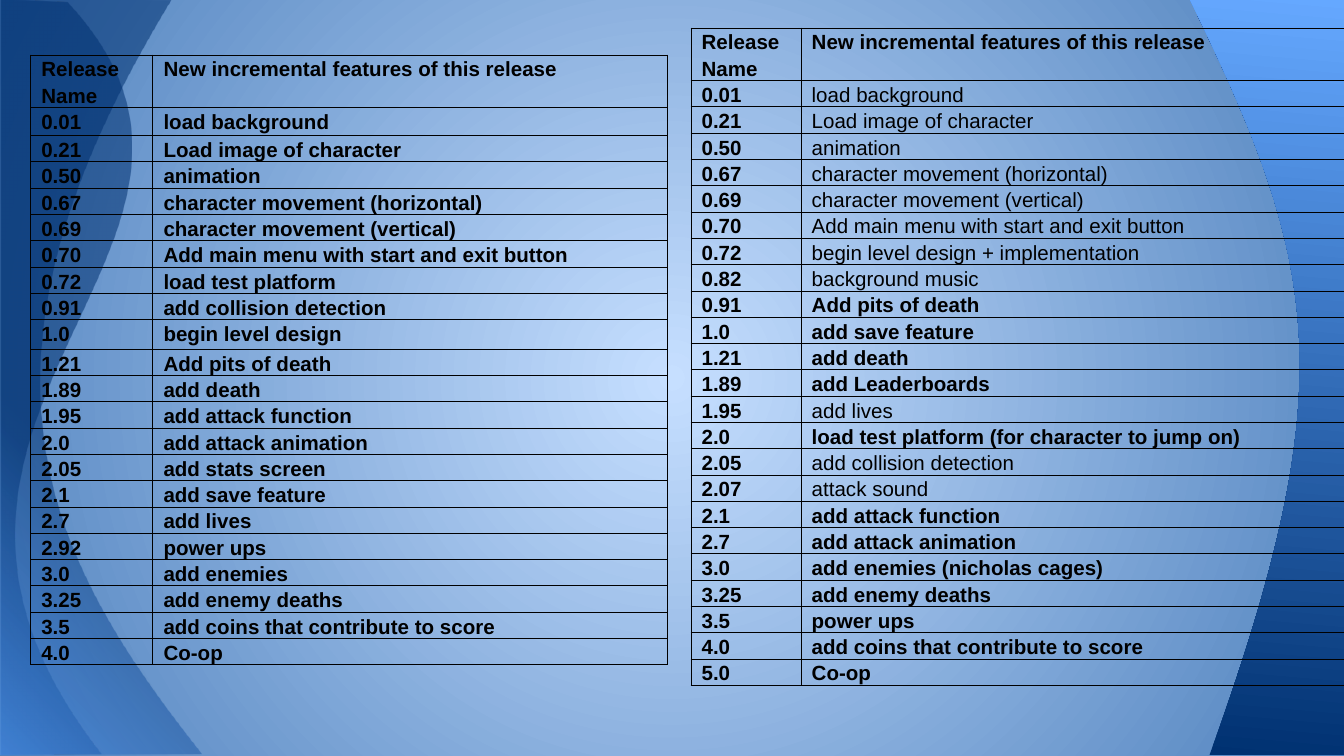
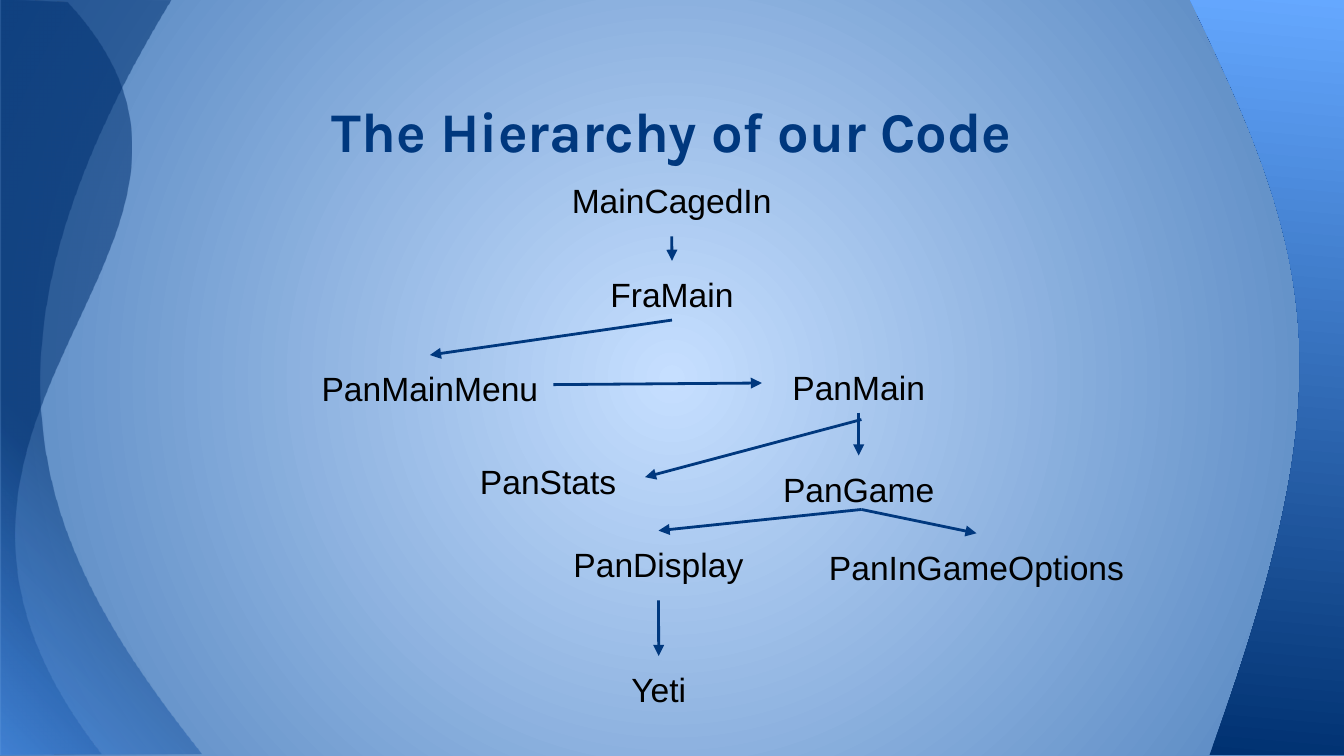
from dataclasses import dataclass

from lxml.etree import SubElement as Sub
from pptx import Presentation as Deck
from pptx.dml.color import RGBColor as Rgb
from pptx.enum.shapes import MSO_CONNECTOR as Link
from pptx.enum.text import MSO_ANCHOR as Anchor, PP_ALIGN as Align
from pptx.oxml import parse_xml
from pptx.oxml.ns import nsdecls, qn
from pptx.util import Cm, Pt


@dataclass(frozen=True)
class Theme:
    ink: str = "000000"
    navy: str = "00387E"
    glow: tuple = ((0, "C6DFFF", 100), (100, "4F81BD", 100))
    veil: tuple = ((0, "549FFF", 54), (41, "003171", 54), (100, "003171", 54))
    edge: tuple = ((0, "003171", 100), (100, "65A8FF", 100))
    font: str = "Arial"
    head: str = "Karla"
    cell: float = 11
    node: float = 18
    title: float = 30
    rule: float = 0.5
    arrow: float = 1.5


THEME = Theme()
PAGE = (0, 0, 25.4, 14.29)
TOP, LEFT, BASE, RIGHT = range(4)
ROW = 0.49

CENTER = '<a:path path="circle"><a:fillToRect l="50000" t="50000" r="50000" b="50000"/></a:path>'
CORNER = '<a:path path="circle"><a:fillToRect t="100000" r="100000"/></a:path>'
STEEP = '<a:lin ang="16500000" scaled="0"/>'

BANDS = [
    ([(3.81, 14.25), (-0.03, 14.27), (0, -0.05), (3.23, 0),
      (-0.97, 6.91), (0.84, 10.49), (3.81, 14.25)], 4, THEME.veil, CORNER),
    ([(1.91, 14.25), (0.03, 14.27), (0.03, 0), (1.27, 0.05),
      (5.51, 4.62), (-3.1, 7.82), (1.91, 14.25)], 4, THEME.veil, CORNER),
    ([(25.53, 14.27), (22.86, 14.27), (25.43, 7.21), (24.92, 4.98),
      (22.48, -0.03), (25.53, -0.03)], 2, THEME.edge, STEEP),
]

HEADS = ("Release Name", "New incremental features of this release")
PLAN = [
    ("0.01", "load background"),
    ("0.21", "Load image of character"),
    ("0.50", "animation"),
    ("0.67", "character movement (horizontal)"),
    ("0.69", "character movement (vertical)"),
    ("0.70", "Add main menu with start and exit button"),
    ("0.72", "load test platform"),
    ("0.91", "add collision detection"),
    ("1.0", "begin level design"),
    ("1.21", "Add pits of death"),
    ("1.89", "add death"),
    ("1.95", "add attack function"),
    ("2.0", "add attack animation"),
    ("2.05", "add stats screen"),
    ("2.1", "add save feature"),
    ("2.7", "add lives"),
    ("2.92", "power ups"),
    ("3.0", "add enemies"),
    ("3.25", "add enemy deaths"),
    ("3.5", "add coins that contribute to score"),
    ("4.0", "Co-op"),
]
DONE = PLAN[:6] + [
    ("0.72", "begin level design + implementation"),
    ("0.82", "background music"),
    ("0.91", "Add pits of death"),
    ("1.0", "add save feature"),
    ("1.21", "add death"),
    ("1.89", "add Leaderboards"),
    ("1.95", "add lives"),
    ("2.0", "load test platform (for character to jump on)"),
    ("2.05", "add collision detection"),
    ("2.07", "attack sound"),
    ("2.1", "add attack function"),
    ("2.7", "add attack animation"),
    ("3.0", "add enemies (nicholas cages)"),
    ("3.25", "add enemy deaths"),
    ("3.5", "power ups"),
    ("4.0", "add coins that contribute to score"),
    ("5.0", "Co-op"),
]
PLAIN = {"0.01", "0.21", "0.50", "0.67", "0.69", "0.70", "0.72", "0.82",
         "1.95", "2.05", "2.07"}

NODES = {
    "MainCagedIn": (4.67, 0, 4.47, 1.32),
    "FraMain": (5.08, 1.78, 3.66, 1.12),
    "PanMainMenu": (0, 3.56, 4.67, 1.12),
    "PanMain": (8.61, 3.53, 3.66, 1.12),
    "PanStats": (2.74, 5.31, 3.66, 1.12),
    "PanGame": (8.61, 5.46, 3.66, 0.84),
    "PanDisplay": (4.7, 6.88, 3.91, 1.32),
    "PanInGameOptions": (9.17, 6.93, 6.99, 1.32),
    "Yeti": (5.16, 9.25, 3, 1.32),
}
JOINS = [
    ("MainCagedIn", BASE, "FraMain", TOP),
    ("FraMain", BASE, "PanMainMenu", TOP),
    ("PanMainMenu", RIGHT, "PanMain", LEFT),
    ("PanMain", BASE, "PanGame", TOP),
    ("PanDisplay", BASE, "Yeti", TOP),
]
FORKS = [
    ((10.49, 4.78), "PanStats", RIGHT),
    ((10.49, 6.48), "PanDisplay", TOP),
    ((10.49, 6.48), "PanInGameOptions", TOP),
]


def blend(host, stops, kind):
    marks = "".join(
        f'<a:gs pos="{at * 1000}"><a:srgbClr val="{hue}">'
        f'<a:alpha val="{alpha * 1000}"/></a:srgbClr></a:gs>'
        for at, hue, alpha in stops)
    fill = parse_xml(f'<a:gradFill {nsdecls("a")} rotWithShape="1">'
                     f'<a:gsLst>{marks}</a:gsLst>{kind}</a:gradFill>')
    host.replace(host.find(qn("a:solidFill")), fill)


def write(para, text, size, font=THEME.font, hue=THEME.ink, bold=False):
    run = para.add_run()
    run.text = text
    run.font.size = Pt(size)
    run.font.name = font
    run.font.bold = bold
    run.font.color.rgb = Rgb.from_string(hue)


def inset(frame, side, rise):
    frame.margin_left = frame.margin_right = Cm(side)
    frame.margin_top = frame.margin_bottom = Cm(rise)


def bend(shape, start):
    trace = shape.element.find(".//" + qn("a:path"))
    steps = list(trace)[start:start + 3]
    curve = Sub(trace, qn("a:cubicBezTo"))
    steps[0].addprevious(curve)
    for step in steps:
        curve.append(step[0])
        trace.remove(step)


def add_bands(deck, slide, box):
    master = deck.slide_master
    master.background.fill.solid()
    blend(master.element.find(".//" + qn("p:bgPr")), THEME.glow, CENTER)
    for spot, (points, start, stops, kind) in enumerate(BANDS, 2):
        first, *rest = [(Cm(box[0] + x), Cm(box[1] + y)) for x, y in points]
        draft = slide.shapes.build_freeform(*first)
        draft.add_line_segments(rest, close=True)
        band = draft.convert_to_shape()
        bend(band, start)
        band.shadow.inherit = False
        band.line.fill.background()
        band.fill.solid()
        blend(band.element.spPr, stops, kind)
        master.shapes.element.insert(spot, band.element)


def frame_cell(cell):
    cell.fill.background()
    props = cell._tc.get_or_add_tcPr()
    for spot, side in enumerate("LRTB"):
        props.insert(spot, parse_xml(
            f'<a:ln{side} {nsdecls("a")} w="{Pt(THEME.rule)}"><a:solidFill>'
            f'<a:srgbClr val="{THEME.ink}"/></a:solidFill></a:ln{side}>'))


def add_grid(slide, box, first, items, plain=(), tall=None):
    lines = [HEADS] + items
    highs = [2 * ROW] + [ROW] * len(items)
    for row, high in (tall or {}).items():
        highs[row] = high
    x, y, wide = box
    grid = slide.shapes.add_table(len(lines), 2, Cm(x), Cm(y), Cm(wide),
                                  Cm(sum(highs))).table
    grid.first_row = grid.horz_banding = False
    grid.columns[0].width = Cm(first)
    grid.columns[1].width = Cm(wide - first)
    for row, (line, high) in enumerate(zip(lines, highs)):
        grid.rows[row].height = Cm(high)
        for col, text in enumerate(line):
            cell = grid.cell(row, col)
            inset(cell, 0.2, 0)
            frame_cell(cell)
            para = cell.text_frame.paragraphs[0]
            para.line_spacing = 1.15
            write(para, text, THEME.cell,
                  bold=col == 0 or line[0] not in plain)


def add_title(slide, box, text):
    title = slide.shapes.title
    title.left, title.top, title.width, title.height = map(Cm, box)
    frame = title.text_frame
    frame.vertical_anchor = Anchor.BOTTOM
    inset(frame, 0.25, 0.25)
    para = frame.paragraphs[0]
    para.alignment = Align.CENTER
    write(para, text, THEME.title, THEME.head, THEME.navy, True)


def add_node(slide, box, text):
    node = slide.shapes.add_textbox(*map(Cm, box))
    frame = node.text_frame
    frame.word_wrap = True
    frame.vertical_anchor = Anchor.TOP
    inset(frame, 0.25, 0.25)
    para = frame.paragraphs[0]
    para.alignment = Align.CENTER
    write(para, text, THEME.node)
    return node


def add_arrow(slide, start, goal, side):
    x, y = map(Cm, start)
    arrow = slide.shapes.add_connector(Link.STRAIGHT, x, y, x, y)
    arrow.end_connect(goal, side)
    arrow.line.width = Pt(THEME.arrow)
    arrow.line.color.rgb = Rgb.from_string(THEME.navy)
    Sub(arrow.line._get_or_add_ln(), qn("a:tailEnd"), type="triangle")
    Sub(arrow.element.spPr, qn("a:effectLst"))
    return arrow


def add_tree(slide, box):
    left, top = box
    nodes = {name: add_node(slide, (left + x, top + y, w, h), name)
             for name, (x, y, w, h) in NODES.items()}
    for source, out, goal, side in JOINS:
        arrow = add_arrow(slide, box, nodes[goal], side)
        arrow.begin_connect(nodes[source], out)
    for (x, y), goal, side in FORKS:
        add_arrow(slide, (left + x, top + y), nodes[goal], side)


def main():
    deck = Deck()
    deck.slide_width, deck.slide_height = map(Cm, PAGE[2:])
    plans = deck.slides.add_slide(deck.slide_layouts[6])
    add_bands(deck, plans, PAGE)
    add_grid(plans, (0.58, 1.04, 12.04), 2.31, PLAN, tall={1: 0.53, 9: 0.56})
    add_grid(plans, (13.06, 0.53, 12.34), 2.08, DONE, PLAIN)
    code = deck.slides.add_slide(deck.slide_layouts[5])
    add_title(code, (1.27, 0.58, 22.86, 2.77), "The Hierarchy of our Code")
    add_tree(code, (5.79, 3.15))
    deck.save("out.pptx")


if __name__ == "__main__":
    main()
